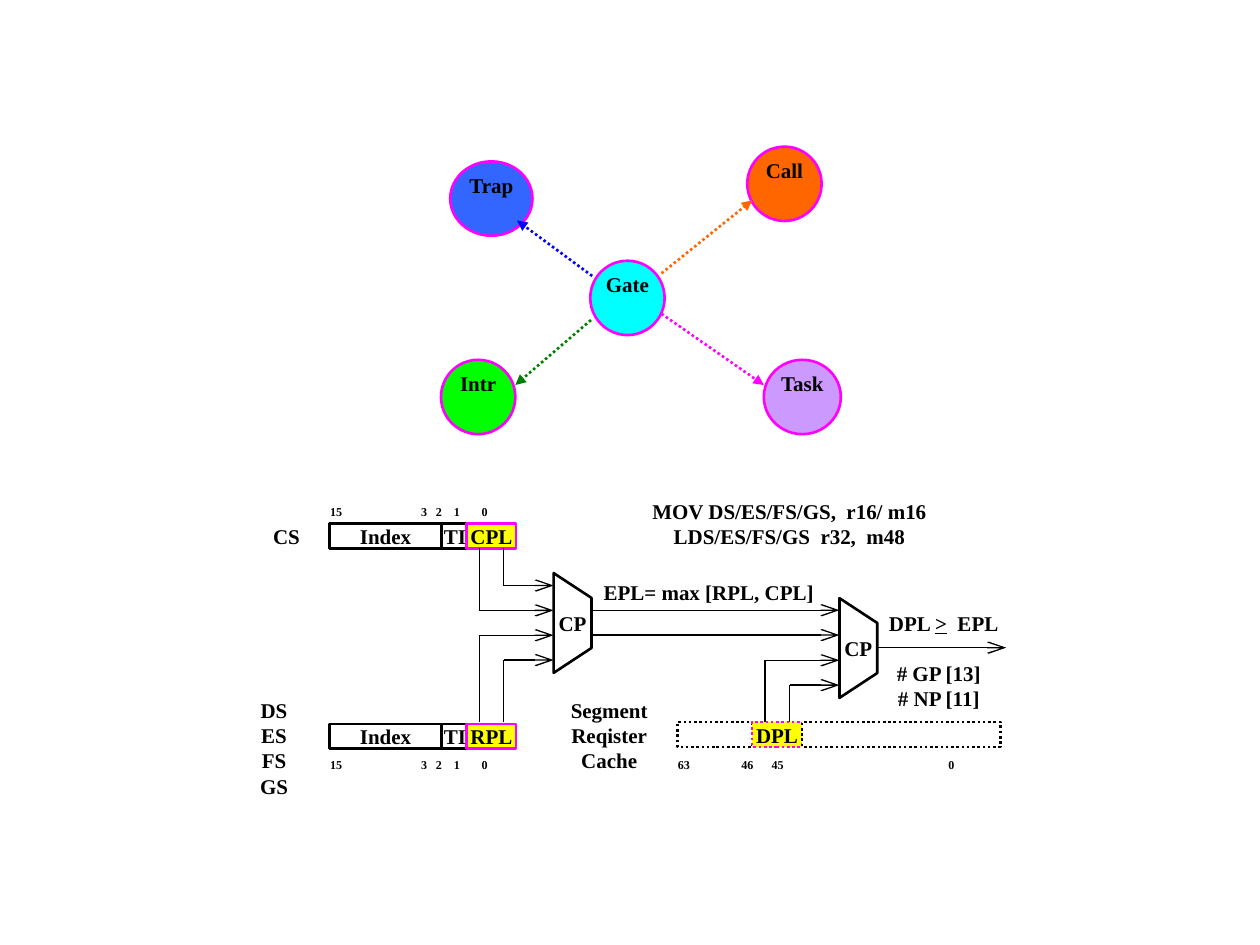
from lxml.etree import SubElement
from pptx import Presentation
from pptx.dml.color import RGBColor
from pptx.enum.dml import MSO_LINE
from pptx.enum.shapes import MSO_CONNECTOR, MSO_SHAPE
from pptx.enum.text import MSO_ANCHOR, PP_ALIGN
from pptx.oxml.ns import qn
from pptx.util import Pt

BLACK, WHITE, MAGENTA, YELLOW = "000000", "FFFFFF", "FF00FF", "FFFF00"
ROW = 14.2            # field height and distance between wires
CIRCLE = 42.5
MUX_WIDTH, MUX_HEIGHT = 21.6, 57


def color(hex_code):
    return RGBColor.from_string(hex_code)


def write(shape, lines, align=PP_ALIGN.CENTER, anchor=MSO_ANCHOR.TOP):
    frame = shape.text_frame
    frame.margin_left = frame.margin_right = frame.margin_top = frame.margin_bottom = 0
    frame.word_wrap = True
    frame.vertical_anchor = anchor
    frame.text = "\n".join(lines)
    for paragraph in frame.paragraphs:
        paragraph.alignment = align
        font = paragraph.font
        font.name, font.size, font.bold = "Times New Roman", Pt(12), True
        font.color.rgb = color(BLACK)
    return frame


def style(shape, fill, line=None, dashed=False):
    shape.shadow.inherit = False
    shape.fill.solid()
    shape.fill.fore_color.rgb = color(fill)
    if line is None:
        shape.line.fill.background()
        return
    shape.line.color.rgb = color(line)
    shape.line.width = Pt(1.5)
    if dashed:
        shape.line.dash_style = MSO_LINE.ROUND_DOT


def label(slide, x, y, w, h, *lines, align=PP_ALIGN.CENTER):
    box = slide.shapes.add_shape(MSO_SHAPE.RECTANGLE, Pt(x), Pt(y), Pt(w), Pt(h))
    style(box, WHITE)
    return write(box, lines, align)


def circle(slide, x, y, w, name, fill):
    node = slide.shapes.add_shape(MSO_SHAPE.OVAL, Pt(x), Pt(y), Pt(w), Pt(CIRCLE))
    style(node, fill, MAGENTA)
    write(node, [name])


def field(slide, x, y, w, name="", fill=WHITE, line=BLACK, dashed=False):
    cell = slide.shapes.add_shape(MSO_SHAPE.RECTANGLE, Pt(x), Pt(y), Pt(w), Pt(ROW))
    style(cell, fill, line, dashed)
    if name:
        write(cell, [name])


def bit_numbers(slide, x, y, w, numbers, stops):
    paragraph = label(slide, x, y, w, 10, align=PP_ALIGN.LEFT).paragraphs[0]
    tabs = SubElement(paragraph._p.get_or_add_pPr(), qn("a:tabLst"))
    paragraph._p.pPr.insert(0, tabs)
    for stop in stops:
        SubElement(tabs, qn("a:tab"), pos=str(Pt(stop)), algn="l")
    run = paragraph.add_run()
    run.text = "\t".join(numbers)
    run.font._element.set("baseline", "30000")


def wire(slide, x1, y1, x2, y2, line=BLACK, width=0.75, head=None, dashed=False):
    link = slide.shapes.add_connector(MSO_CONNECTOR.STRAIGHT, Pt(x1), Pt(y1), Pt(x2), Pt(y2))
    link.line.color.rgb = color(line)
    link.line.width = Pt(width)
    if dashed:
        link.line.dash_style = MSO_LINE.ROUND_DOT
    if head:
        length = "lg" if head == "arrow" else "med"
        SubElement(link.line._get_or_add_ln(), qn("a:tailEnd"), type=head, w="med", len=length)
    SubElement(link._element.spPr, qn("a:effectLst"))


def bent_wire(slide, x1, y1, x2, y2):
    wire(slide, x1, y1, x1, y2)
    wire(slide, x1, y2, x2, y2, head="arrow")


def comparator(slide, x, y):
    """Draw a comparator and return the heights of its four inputs."""
    right, bottom = x + MUX_WIDTH, y + MUX_HEIGHT
    outline = slide.shapes.build_freeform(Pt(x), Pt(y))
    corners = [(right, y + ROW), (right, bottom - ROW), (x, bottom)]
    outline.add_line_segments([(Pt(cx), Pt(cy)) for cx, cy in corners], close=True)
    body = outline.convert_to_shape()
    style(body, WHITE, BLACK)
    write(body, ["CP"], anchor=MSO_ANCHOR.MIDDLE)
    return [y + ROW * (i + 0.5) for i in range(4)]


def gate_map(slide):
    for x, y, w, name, fill in [
        (337.3, 149, CIRCLE, "Gate", "00FFFF"),
        (427, 83.8, CIRCLE, "Call", "FF6600"),
        (252, 205.6, CIRCLE, "Intr", "00FF00"),
        (436.5, 205.6, 44, "Task", "CC99FF"),
        (257.3, 92.2, 47, "Trap", "3366FF"),
    ]:
        circle(slide, x, y, w, name, fill)
    for x1, y1, x2, y2, line in [
        (378, 156.2, 429.8, 114.5, "FF6600"),
        (378, 179.3, 436.5, 220, MAGENTA),
        (337.7, 182.9, 294.5, 220, "008000"),
        (338.4, 157.7, 295.4, 126, "0000FF"),
    ]:
        wire(slide, x1, y1, x2, y2, line, 1.5, "triangle", dashed=True)


def privilege_check(slide):
    # Selector registers with their bit numbers
    for y, bits_y, level in [(299.1, 286.6, "CPL"), (413.7, 431.3, "RPL")]:
        field(slide, 188.3, y, 64.1, "Index")
        field(slide, 252.4, y, 15.1, "TI")
        field(slide, 266.7, y, 28.3, level, YELLOW, MAGENTA)
        bit_numbers(slide, 188.6, bits_y, 106.6, ["15", "3", "2", "1", "0"],
                    [52, 60.5, 70.8, 86.6])

    # Segment register cache
    cache_y = 412.6
    field(slide, 387.1, cache_y, 42.7, dashed=True)
    field(slide, 429.8, cache_y, 28.5, "DPL", YELLOW, MAGENTA, dashed=True)
    field(slide, 458.3, cache_y, 113.5, dashed=True)
    bit_numbers(slide, 387.4, 431.3, 184.3, ["63", "46", "45", "0"], [36.2, 53.5, 154.5])

    # Comparators and wires
    epl_x, check_x = 316.4, 479.7
    epl_inputs = comparator(slide, epl_x, 327.5)
    check_inputs = comparator(slide, check_x, 341.8)
    level_left, level_right = 273.8, 287.8
    for x, y, lane in [(level_right, 313.3, 0), (level_left, 313.3, 1),
                       (level_left, cache_y, 2), (level_right, cache_y, 3)]:
        bent_wire(slide, x, y, epl_x, epl_inputs[lane])
    for y in check_inputs[:2]:
        wire(slide, epl_x + MUX_WIDTH, y - 0.2, check_x, y - 0.2, head="arrow")
    for x, y in zip((437.2, 451.2), check_inputs[2:]):
        bent_wire(slide, x, cache_y, check_x, y)
    result_y = 341.6 + MUX_HEIGHT / 2
    wire(slide, check_x + MUX_WIDTH, result_y, 575, result_y, head="arrow")

    # Labels
    label(slide, 344.5, 331.2, 121, ROW, "EPL= max [RPL, CPL]")
    label(slide, 152.9, 299.1, 21.6, ROW, "CS")
    label(slide, 145.8, 398.6, 21.6, 57, "DS", "ES", "FS", "GS")
    label(slide, 323.3, 398.6, 49.7, 42.5, "Segment", "Reqister", "Cache")
    label(slide, 508, 377.3, 56.9, 28, "# GP [13]", "# NP [11]")
    label(slide, 359, 284.9, 184.3, 35.3,
          "MOV DS/ES/FS/GS,  r16/ m16", "LDS/ES/FS/GS  r32,  m48")
    condition = label(slide, 508, 348.8, 71.3, ROW, align=PP_ALIGN.LEFT).paragraphs[0]
    for part in ("DPL ", ">", "  EPL"):
        run = condition.add_run()
        run.text = part
        run.font.underline = part == ">"


def main():
    deck = Presentation()
    deck.slide_width, deck.slide_height = Pt(720), Pt(540)
    slide = deck.slides.add_slide(deck.slide_layouts[6])
    gate_map(slide)
    privilege_check(slide)
    deck.save("out.pptx")


if __name__ == "__main__":
    main()
